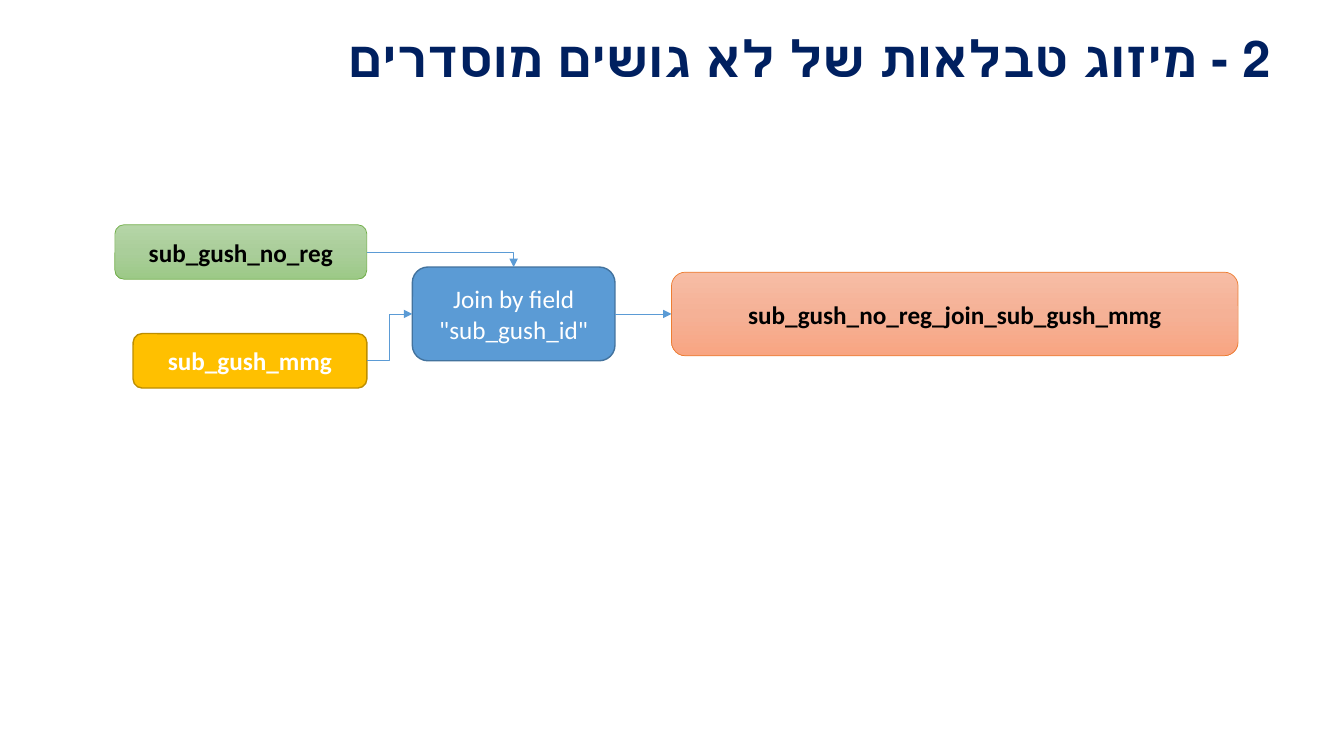
from copy import deepcopy
from dataclasses import dataclass

from lxml import etree
from pptx import Presentation
from pptx.dml.color import RGBColor
from pptx.enum.shapes import MSO_CONNECTOR, MSO_SHAPE
from pptx.enum.text import MSO_ANCHOR, PP_ALIGN
from pptx.oxml.ns import qn
from pptx.util import Inches, Pt

ROUNDED = MSO_SHAPE.ROUNDED_RECTANGLE
ELBOW, STRAIGHT = MSO_CONNECTOR.ELBOW, MSO_CONNECTOR.STRAIGHT
MIDDLE = MSO_ANCHOR.MIDDLE
CENTER, RIGHT = PP_ALIGN.CENTER, PP_ALIGN.RIGHT
# Connection sites of a rounded rectangle
TOP_SITE, LEFT_SITE, RIGHT_SITE = 0, 1, 3

SLIDE_W, SLIDE_H = Inches(13.33), Inches(7.5)


@dataclass(frozen=True)
class Theme:
    font: str = "Calibri"
    title_size: int = 36
    box_size: int = 18
    title: str = "002060"
    dark: str = "000000"
    light: str = "FFFFFF"
    arrow: str = "5B9BD5"
    thin: float = 0.5
    thick: float = 1
    # Each box style: fill colours from top to bottom, then the outline
    green: tuple = (("B5D5A7", "AACE9A", "9CC987"), "70AD47")
    gold: tuple = (("FFC000",), "BD8E00")
    blue: tuple = (("5B9BD5",), "43739E")
    orange: tuple = (("F7BDA5", "F5B196", "F8A582"), "ED7D31")


THEME = Theme()


def place(left, top, width, height):
    """Turn percentages of the slide into lengths."""
    return (round(SLIDE_W * left / 100), round(SLIDE_H * top / 100),
            round(SLIDE_W * width / 100), round(SLIDE_H * height / 100))


def write(shape, text, size, color, bold, align):
    frame = shape.text_frame
    frame.word_wrap = True
    frame.vertical_anchor = MIDDLE
    paragraph = frame.paragraphs[0]
    paragraph.alignment = align
    run = paragraph.add_run()
    run.text = text
    font_format = {"name": THEME.font, "size": Pt(size), "bold": bold}
    for key, value in font_format.items():
        setattr(run.font, key, value)
    run.font.color.rgb = RGBColor.from_string(color)
    return paragraph


def paint(shape, colors):
    """Fill with one colour, or with an even top-to-bottom gradient."""
    if len(colors) == 1:
        shape.fill.solid()
        shape.fill.fore_color.rgb = RGBColor.from_string(colors[0])
        return
    shape.fill.gradient()
    shape.fill.gradient_angle = 270
    stop_list = shape._element.spPr.find(".//" + qn("a:gsLst"))
    while len(stop_list) < len(colors):
        stop_list.append(deepcopy(stop_list[0]))
    for index, stop in enumerate(shape.fill.gradient_stops):
        stop.position = index / (len(colors) - 1)
        stop.color.rgb = RGBColor.from_string(colors[index])


def add_box(slide, text, area, style, color, bold=True):
    colors, outline = style
    box = slide.shapes.add_shape(ROUNDED, *place(*area))
    box.shadow.inherit = False
    paint(box, colors)
    box.line.color.rgb = RGBColor.from_string(outline)
    box.line.width = Pt(THEME.thin if len(colors) > 1 else THEME.thick)
    write(box, text, THEME.box_size, color, bold, CENTER)
    return box


def add_arrow(slide, source, target, site, kind, preset=None):
    """Link the right side of source to a site of target."""
    arrow = slide.shapes.add_connector(kind, 0, 0, 0, 0)
    arrow.begin_connect(source, RIGHT_SITE)
    arrow.end_connect(target, site)
    arrow.line.color.rgb = RGBColor.from_string(THEME.arrow)
    arrow.line.width = Pt(THEME.thin)
    properties = arrow._element.spPr
    if preset:
        properties.find(qn("a:prstGeom")).set("prst", preset)
    etree.SubElement(properties.find(qn("a:ln")), qn("a:tailEnd"), type="triangle")
    etree.SubElement(properties, qn("a:effectLst"))


def add_title(slide, text, area):
    title = slide.shapes.add_textbox(*place(*area))
    paragraph = write(title, text, THEME.title_size, THEME.title, True, RIGHT)
    paragraph.line_spacing = 0.9
    paragraph._p.get_or_add_pPr().set("rtl", "1")


def main():
    prs = Presentation()
    prs.slide_width, prs.slide_height = SLIDE_W, SLIDE_H
    slide = prs.slides.add_slide(prs.slide_layouts[6])

    # Input tables
    no_reg = add_box(slide, "sub_gush_no_reg", (8.55, 29.73, 18.75, 7.2),
                     THEME.green, THEME.dark)
    mmg = add_box(slide, "sub_gush_mmg", (9.9, 44.13, 17.4, 7.2),
                  THEME.gold, THEME.light)

    # Join step and its result
    join = add_box(slide, 'Join by field "sub_gush_id"', (30.68, 35.33, 15.08, 12.4),
                   THEME.blue, THEME.light, bold=False)
    result = add_box(slide, "sub_gush_no_reg_join_sub_gush_mmg",
                     (49.96, 36, 42.16, 11.06), THEME.orange, THEME.dark)

    # Flow
    add_arrow(slide, no_reg, join, TOP_SITE, ELBOW, "bentConnector2")
    add_arrow(slide, mmg, join, LEFT_SITE, ELBOW)
    add_arrow(slide, join, result, LEFT_SITE, STRAIGHT)

    add_title(slide, "2 - מיזוג טבלאות של לא גושים מוסדרים", (4.65, 3.6, 90.62, 9.07))
    prs.save("out.pptx")


if __name__ == "__main__":
    main()
